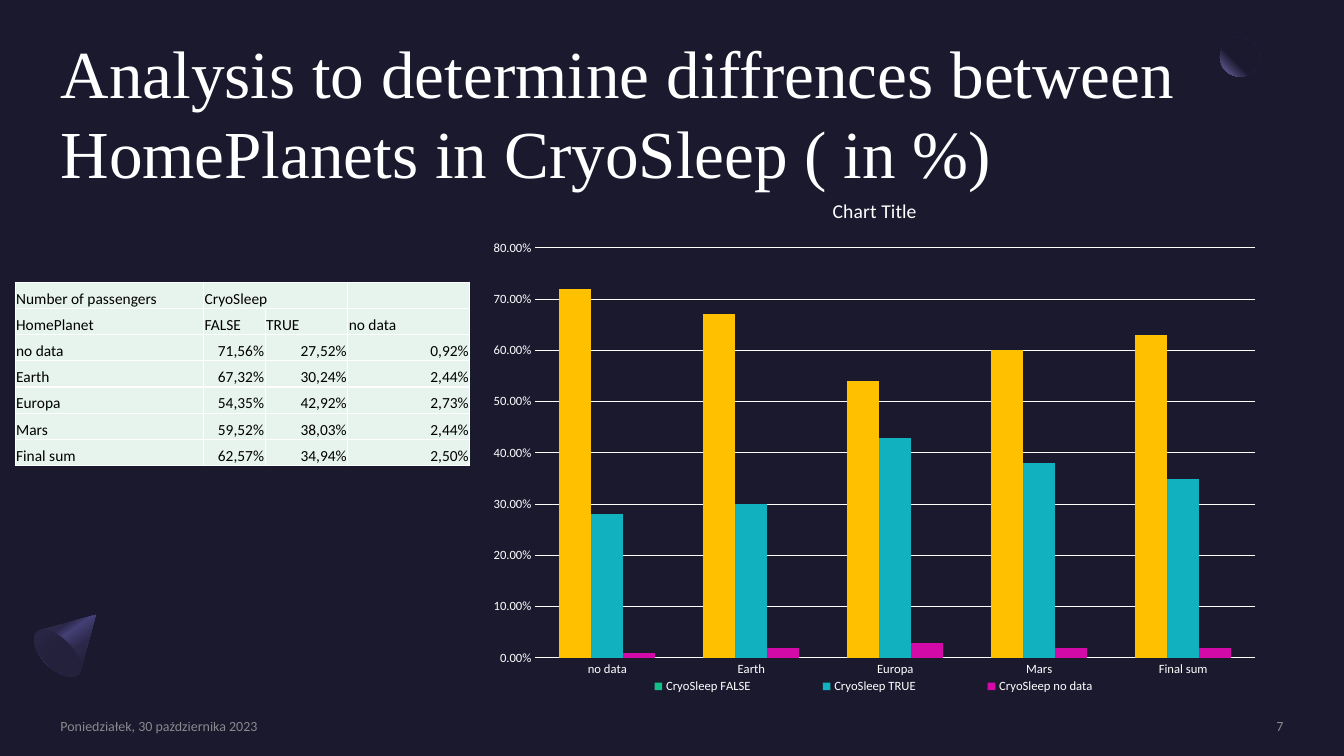
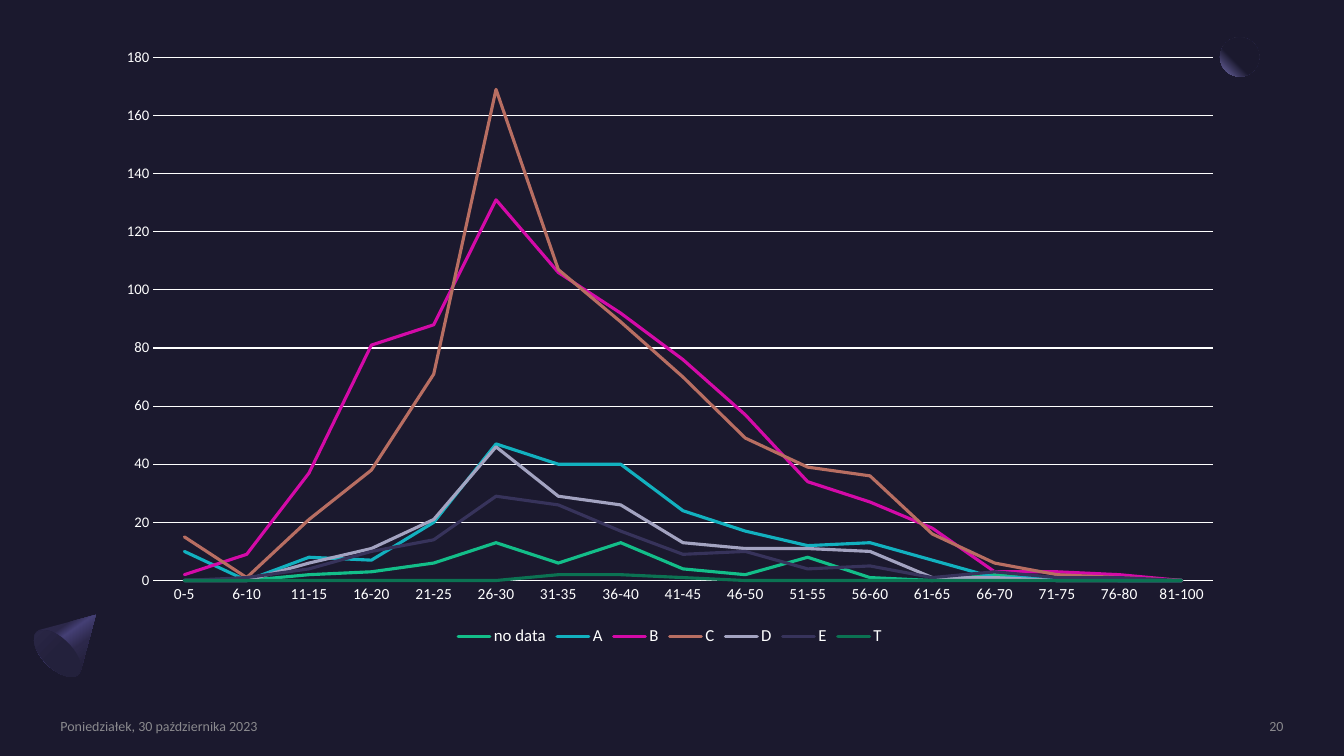
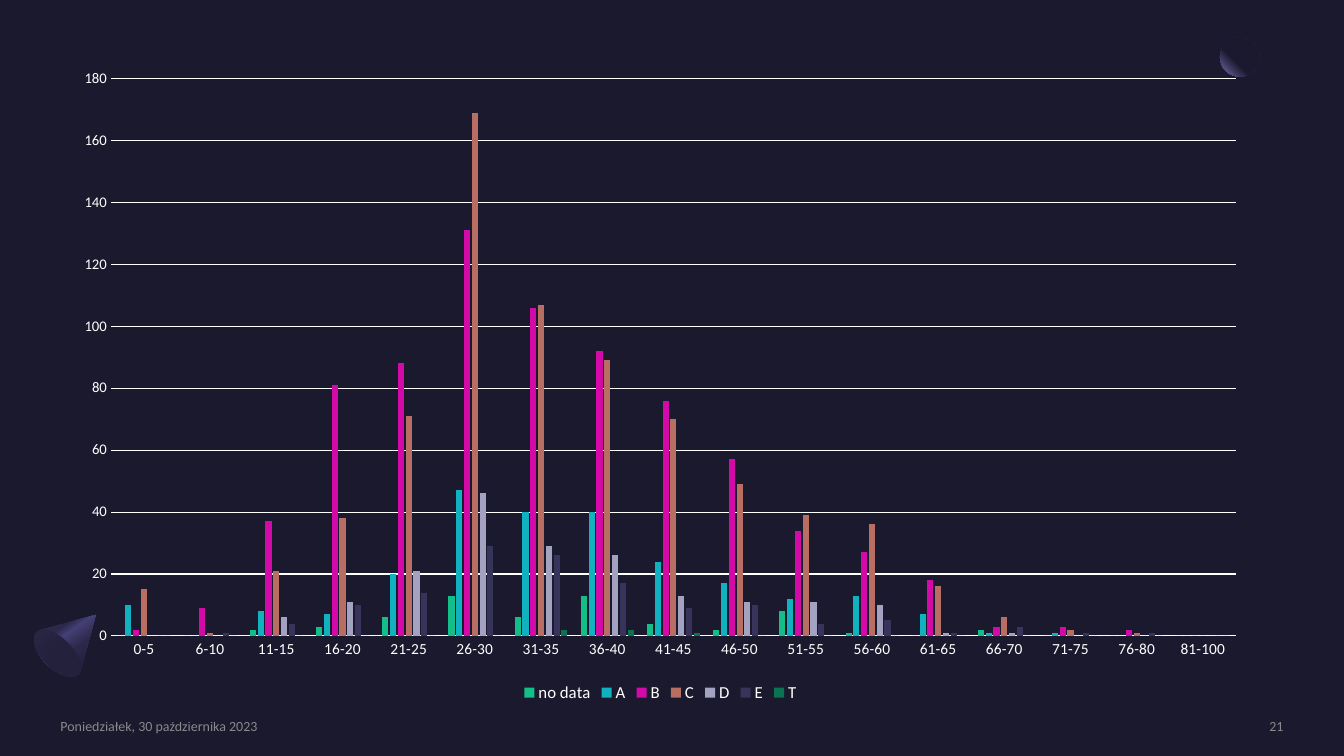
from lxml import etree
from pptx import Presentation
from pptx.chart.data import CategoryChartData
from pptx.dml.color import RGBColor
from pptx.enum.chart import XL_CHART_TYPE, XL_LEGEND_POSITION, XL_MARKER_STYLE, XL_TICK_MARK
from pptx.enum.shapes import MSO_SHAPE
from pptx.enum.text import MSO_ANCHOR, MSO_AUTO_SIZE, PP_ALIGN
from pptx.oxml.ns import qn
from pptx.util import Inches, Pt

COLUMNS = XL_CHART_TYPE.COLUMN_CLUSTERED
LINES = XL_CHART_TYPE.LINE
LEGEND_BOTTOM = XL_LEGEND_POSITION.BOTTOM
NO_MARKER = XL_MARKER_STYLE.NONE
NO_TICK = XL_TICK_MARK.NONE
ELLIPSE = MSO_SHAPE.OVAL
TOP, MIDDLE, BOTTOM = MSO_ANCHOR.TOP, MSO_ANCHOR.MIDDLE, MSO_ANCHOR.BOTTOM
LEFT, RIGHT = PP_ALIGN.LEFT, PP_ALIGN.RIGHT
NO_AUTOFIT = MSO_AUTO_SIZE.NONE

BACKGROUND, WHITE, BLACK = "1B192E", "FFFFFF", "000000"
FOOTER_GREY, CELL_FILL, HIGHLIGHT = "A6A6A6", "E7F4ED", "FFC000"
SERIES_COLORS = ["13BE89", "12B1BF", "D40AA8", "B86E62", "A3A3C1", "37335B", "0B7252"]
BODY_FONT, TITLE_FONT = "Calibri", "Times New Roman"
DATE = "Poniedziałek, 30 października 2023"
TITLE_LAYOUT, BLANK_LAYOUT = 5, 6

SLEEP_ROWS = [
    ["Number of passengers", "CryoSleep", "", ""],
    ["HomePlanet", "FALSE", "TRUE", "no data"],
    ["no data", "71,56%", "27,52%", "0,92%"],
    ["Earth", "67,32%", "30,24%", "2,44%"],
    ["Europa", "54,35%", "42,92%", "2,73%"],
    ["Mars", "59,52%", "38,03%", "2,44%"],
    ["Final sum", "62,57%", "34,94%", "2,50%"],
]
PLANETS = [row[0] for row in SLEEP_ROWS[2:]]
SLEEP_SHARES = {
    "CryoSleep FALSE": [0.72, 0.67, 0.54, 0.6, 0.63],
    "CryoSleep TRUE": [0.28, 0.3, 0.43, 0.38, 0.35],
    "CryoSleep no data": [0.01, 0.02, 0.03, 0.02, 0.02],
}
AGE_GROUPS = ["0-5", *(f"{low}-{low + 4}" for low in range(6, 77, 5)), "81-100"]
DECK_COUNTS = {
    "no data": [0, 0, 2, 3, 6, 13, 6, 13, 4, 2, 8, 1, 0, 2, 0, 0, 0],
    "A": [10, 0, 8, 7, 20, 47, 40, 40, 24, 17, 12, 13, 7, 1, 1, 0, 0],
    "B": [2, 9, 37, 81, 88, 131, 106, 92, 76, 57, 34, 27, 18, 3, 3, 2, 0],
    "C": [15, 1, 21, 38, 71, 169, 107, 89, 70, 49, 39, 36, 16, 6, 2, 1, 0],
    "D": [0, 0, 6, 11, 21, 46, 29, 26, 13, 11, 11, 10, 1, 1, 0, 0, 0],
    "E": [0, 1, 4, 10, 14, 29, 26, 17, 9, 10, 4, 5, 1, 3, 1, 1, 0],
    "T": [0, 0, 0, 0, 0, 0, 2, 2, 1, 0, 0, 0, 0, 0, 0, 0, 0],
}


def rgb(color):
    return RGBColor.from_string(color)


def inches(values):
    return [Inches(value) for value in values]


def add_child(parent, tag, **attributes):
    values = {name: str(value) for name, value in attributes.items()}
    return etree.SubElement(parent, qn(tag), values)


def style_font(font, size, color=WHITE, name=BODY_FONT):
    font.size = Pt(size)
    font.name = name
    font.color.rgb = rgb(color)


def write_text(frame, text, *, size, color=WHITE, font=BODY_FONT, align=LEFT, alpha=None):
    paragraph = frame.paragraphs[0]
    paragraph.alignment = align
    if not text:
        add_child(paragraph._p, "a:endParaRPr", sz=size * 100)
        return paragraph
    run = paragraph.add_run()
    run.text = text
    style_font(run.font, size, color, font)
    if alpha:
        add_child(run.font._element.find(".//" + qn("a:srgbClr")), "a:alpha", val=alpha * 1000)
    return paragraph


def prepare_frame(frame, anchor):
    frame.word_wrap = True
    frame.auto_size = NO_AUTOFIT
    frame.vertical_anchor = anchor
    frame.margin_left = frame.margin_right = frame.margin_top = frame.margin_bottom = 0


def set_gradient(shape, stops, angle=None, focus=None):
    shape.shadow.inherit = False
    shape.line.fill.background()
    shape.fill.background()
    properties = shape.element.spPr
    gradient = etree.Element(qn("a:gradFill"), rotWithShape="1")
    stop_list = add_child(gradient, "a:gsLst")
    for position, color in stops:
        stop = add_child(stop_list, "a:gs", pos=position * 1000)
        add_child(stop, "a:srgbClr", val=color)
    if focus:
        circle = add_child(gradient, "a:path", path="circle")
        add_child(circle, "a:fillToRect", **focus)
    else:
        add_child(gradient, "a:lin", ang=angle * 60000, scaled=0)
    properties.replace(properties.find(qn("a:noFill")), gradient)


def curve_points(start, first, second, end, steps=8):
    for step in range(1, steps + 1):
        t = step / steps
        weights = [(1 - t) ** 3, 3 * t * (1 - t) ** 2, 3 * t * t * (1 - t), t ** 3]
        points = [start, first, second, end]
        yield tuple(sum(w * p[axis] for w, p in zip(weights, points)) for axis in (0, 1))


def add_cone(slide):
    outline = [(0.95, 6.1), (0.8, 6.66), (0.78, 6.69)]
    curves = [
        ((0.72, 6.75), (0.58, 6.7), (0.46, 6.59)),
        ((0.35, 6.47), (0.3, 6.33), (0.36, 6.27)),
    ]
    for curve in curves:
        outline.extend(curve_points(outline[-1], *curve))
    outline.append((0.39, 6.25))
    points = [tuple(inches(point)) for point in outline]
    builder = slide.shapes.build_freeform(*points[0])
    builder.add_line_segments(points[1:], close=True)
    cone = builder.convert_to_shape()
    set_gradient(cone, [(30, "2C284A"), (40, "454075"), (60, "2C284A"), (100, BACKGROUND)], angle=55)
    return cone


def add_ellipse(slide, box, rotation=0, **gradient):
    ellipse = slide.shapes.add_shape(ELLIPSE, *inches(box))
    ellipse.rotation = rotation
    set_gradient(ellipse, **gradient)
    return ellipse


def decorate_master(master, slide):
    fill = master.background.fill
    fill.solid()
    fill.fore_color.rgb = rgb(BACKGROUND)
    moon = add_ellipse(slide, (12.1, 0.37, 0.39, 0.39),
                       stops=[(60, BACKGROUND), (100, "7771B2")],
                       focus={"l": 100000, "b": 100000})
    cone = add_cone(slide)
    base = add_ellipse(slide, (0.42, 6.19, 0.3, 0.59), rotation=135,
                       stops=[(50, "23213C"), (100, "2C284A")], angle=90)
    for shape in (moon, cone, base):
        master.shapes.element.append(shape.element)


def add_footer(slide, number):
    for text, left, width, align in ((DATE, 0.6, 2.88, LEFT), (str(number), 10.88, 1.85, RIGHT)):
        box = slide.shapes.add_textbox(*inches((left, 7.12, width, 0.17)))
        prepare_frame(box.text_frame, MIDDLE)
        write_text(box.text_frame, text, size=10, color=FOOTER_GREY, align=align, alpha=80)


def add_title(slide, text):
    title = slide.shapes.title
    title.left, title.top, title.width, title.height = inches((0.6, 0.32, 12.13, 1.46))
    prepare_frame(title.text_frame, TOP)
    paragraph = write_text(title.text_frame, text, size=48, font=TITLE_FONT)
    paragraph.line_spacing = Pt(57)


def style_cell(cell):
    cell.fill.solid()
    cell.fill.fore_color.rgb = rgb(CELL_FILL)
    cell.vertical_anchor = BOTTOM
    cell.margin_left = cell.margin_right = cell.margin_top = Inches(0.01)
    cell.margin_bottom = 0
    properties = cell._tc.get_or_add_tcPr()
    for index, side in enumerate(("a:lnL", "a:lnR", "a:lnT", "a:lnB")):
        border = etree.Element(qn(side), w=str(Pt(1)))
        add_child(add_child(border, "a:solidFill"), "a:srgbClr", val=WHITE)
        properties.insert(index, border)


def add_sleep_table(slide):
    widths = [1.87, 0.61, 0.82, 1.21]
    box = inches((0.15, 2.8, sum(widths), 1.82))
    table = slide.shapes.add_table(len(SLEEP_ROWS), len(widths), *box).table
    table.first_row = table.horz_banding = False
    for column, width in zip(table.columns, widths):
        column.width = Inches(width)
    table.cell(0, 1).merge(table.cell(0, 2))
    for row_index, row in enumerate(SLEEP_ROWS):
        table.rows[row_index].height = Inches(0.26)
        for column_index, text in enumerate(row):
            cell = table.cell(row_index, column_index)
            style_cell(cell)
            align = RIGHT if text.endswith("%") else LEFT
            write_text(cell.text_frame, text, size=11, color=BLACK, align=align)


def fill_layout(layout, chart_box, part_box, target=None):
    manual = add_child(layout, "c:manualLayout")
    if target:
        add_child(manual, "c:layoutTarget", val=target)
    add_child(manual, "c:xMode", val="edge")
    add_child(manual, "c:yMode", val="edge")
    left, top, width, height = chart_box
    fractions = {
        "c:x": (part_box[0] - left) / width,
        "c:y": (part_box[1] - top) / height,
        "c:w": part_box[2] / width,
        "c:h": part_box[3] / height,
    }
    for tag, fraction in fractions.items():
        add_child(manual, tag, val=round(fraction, 4))


def place_part(parent, index, chart_box, part_box, target=None):
    for old_layout in parent.findall(qn("c:layout")):
        parent.remove(old_layout)
    layout = etree.Element(qn("c:layout"))
    parent.insert(index, layout)
    fill_layout(layout, chart_box, part_box, target)


def style_axes(chart, category_size, value_size, maximum, step, number_format, axis_line):
    category_axis, value_axis = chart.category_axis, chart.value_axis
    for axis, size in ((category_axis, category_size), (value_axis, value_size)):
        axis.major_tick_mark = axis.minor_tick_mark = NO_TICK
        style_font(axis.tick_labels.font, size)
        axis.format.line.fill.background()
    if axis_line:
        category_axis.format.line.color.rgb = rgb(WHITE)
        category_axis.format.line.width = Pt(0.75)
    value_axis.minimum_scale, value_axis.maximum_scale = 0, maximum
    value_axis.major_unit = step
    value_axis.tick_labels.number_format = number_format
    value_axis.tick_labels.number_format_is_linked = False
    grid_line = value_axis.major_gridlines.format.line
    grid_line.color.rgb = rgb(WHITE)
    grid_line.width = Pt(0.75)


def style_series(series, color, kind):
    if kind == LINES:
        series.smooth = False
        series.marker.style = NO_MARKER
        series.format.line.color.rgb = rgb(color)
        series.format.line.width = Pt(2.25)
        series._element.find(qn("c:spPr")).find(qn("a:ln")).set("cap", "rnd")
    else:
        series.format.fill.solid()
        series.format.fill.fore_color.rgb = rgb(color)


def add_data_chart(slide, kind, box, plot_box, categories, data, *, category_size=11,
                   value_size=10.5, legend_size=12, legend_box=None, maximum=180, step=20,
                   number_format="General", axis_line=True, gap=150, overlap=0):
    chart_data = CategoryChartData(number_format=number_format)
    chart_data.categories = categories
    for name, values in data.items():
        chart_data.add_series(name, values)
    chart = slide.shapes.add_chart(kind, *inches(box), chart_data).chart
    style_font(chart.font, 10)
    chart.has_title = False
    chart.has_legend = True
    chart.legend.position = LEGEND_BOTTOM
    chart.legend.include_in_layout = False
    style_font(chart.legend.font, legend_size)
    if legend_box:
        place_part(chart.legend._element, 1, box, legend_box)
    style_axes(chart, category_size, value_size, maximum, step, number_format, axis_line)
    place_part(chart._chartSpace.find(".//" + qn("c:plotArea")), 0, box, plot_box, "inner")
    plot = chart.plots[0]
    plot.vary_by_categories = False
    if kind == COLUMNS:
        plot.gap_width, plot.overlap = gap, overlap
    for series, color in zip(plot.series, SERIES_COLORS):
        style_series(series, color, kind)
    return chart


def add_sleep_chart(slide):
    chart = add_data_chart(slide, COLUMNS, (4.74, 1.76, 7.87, 5.35), (5.31, 2.46, 7.14, 4.07),
                           PLANETS, SLEEP_SHARES, category_size=9, value_size=9, legend_size=9,
                           legend_box=(5.82, 6.67, 5.69, 0.28), maximum=0.8, step=0.1,
                           number_format="0.00%", axis_line=False)
    chart.has_title = True
    paragraph = write_text(chart.chart_title.text_frame, "Chart Title", size=14, align=None)
    paragraph.runs[0].font.bold = False
    chart.chart_title.include_in_layout = False
    for index in range(len(PLANETS)):
        fill = chart.plots[0].series[0].points[index].format.fill
        fill.solid()
        fill.fore_color.rgb = rgb(HIGHLIGHT)


def main():
    presentation = Presentation()
    presentation.slide_width, presentation.slide_height = inches((13.33, 7.5))
    layouts = presentation.slide_layouts
    sleep_slide = presentation.slides.add_slide(layouts[TITLE_LAYOUT])
    age_line_slide = presentation.slides.add_slide(layouts[BLANK_LAYOUT])
    age_column_slide = presentation.slides.add_slide(layouts[BLANK_LAYOUT])
    decorate_master(presentation.slide_master, sleep_slide)
    for slide, number in ((sleep_slide, 7), (age_line_slide, 20), (age_column_slide, 21)):
        add_footer(slide, number)

    add_title(sleep_slide, "Analysis to determine diffrences between HomePlanets in CryoSleep ( in %)")
    add_sleep_table(sleep_slide)
    add_sleep_chart(sleep_slide)
    add_data_chart(age_line_slide, LINES, (1.03, 0.36, 11.23, 6.09), (1.52, 0.57, 10.51, 5.19),
                   AGE_GROUPS, DECK_COUNTS)
    add_data_chart(age_column_slide, COLUMNS, (0.6, 0.56, 11.9, 6.45), (1.1, 0.78, 11.16, 5.53),
                   AGE_GROUPS, DECK_COUNTS, gap=219, overlap=-27)
    presentation.save("out.pptx")


if __name__ == "__main__":
    main()
